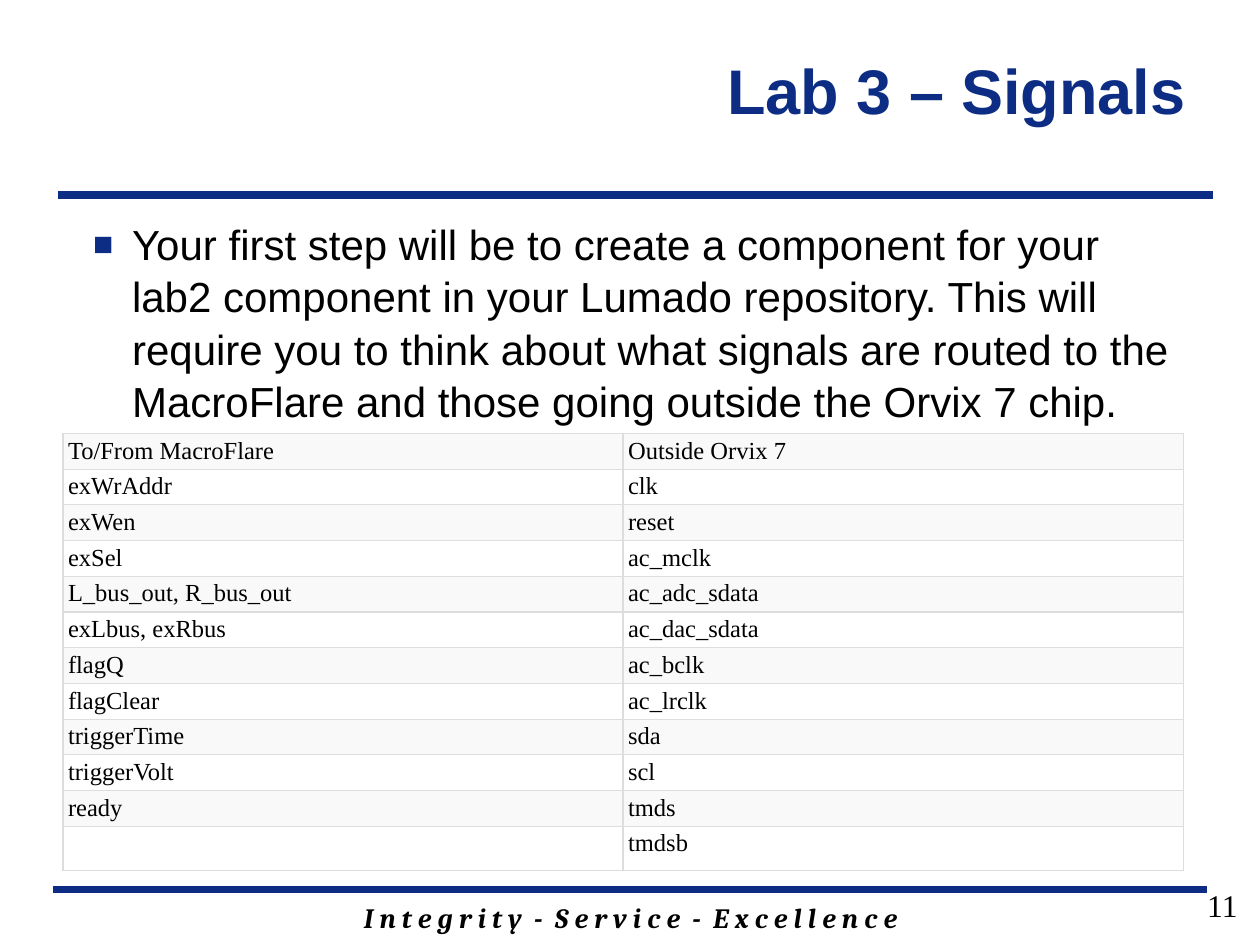
from lxml import etree
from pptx import Presentation
from pptx import util as u
from pptx.dml.color import RGBColor
from pptx.enum import shapes, text
from pptx.oxml import parse_xml
from pptx.oxml.ns import nsdecls, qn

COLORS = {"navy": "0C2D83", "black": "000000", "grid": "DDDDDD",
          "stripe": "F9F9F9", "white": "FFFFFF"}

deck = Presentation()
deck.slide_width, deck.slide_height = u.Inches(10), u.Inches(7.5)
page = deck.slides.add_slide(deck.slide_layouts[6])


def place(*inches):
    shares = [length / size for length, size in zip(inches, (10, 7.5) * 2)]
    return [int(share * size) for share, size in
            zip(shares, (deck.slide_width, deck.slide_height) * 2)]


def write(para, words, size, name, color="black", **formats):
    span = para.add_run()
    span.text = words
    values = {"size": u.Pt(size), "name": name, **formats}
    for key, value in values.items():
        setattr(span.font, key, value)
    span.font.color.rgb = RGBColor.from_string(COLORS[color])


for left, right, level in ((0.42, 9.58, 7.06), (0.46, 9.63, 1.55)):
    rule = page.shapes.add_connector(
        shapes.MSO_CONNECTOR.STRAIGHT, *place(left, level, right, level))
    rule.line.color.rgb = RGBColor.from_string(COLORS["navy"])
    rule.line.width = u.Pt(4.5)
    etree.SubElement(rule._element.spPr, qn("a:effectLst"))

align, anchor = text.PP_ALIGN, text.MSO_ANCHOR
boxes = [
    ((1.42, 7.1, 7.17, 0.37), align.CENTER, anchor.TOP,
     "I n t e g r i t y  -  S e r v i c e  -  E x c e l l e n c e",
     {"size": 16, "name": "Cambria", "bold": True, "italic": True}),
    ((2.09, 0.08, 7.42, 1.25), align.RIGHT, anchor.MIDDLE, "Lab 3 – Signals",
     {"size": 36, "name": "Arial", "color": "navy", "bold": True}),
    ((0.64, 1.67, 8.89, 4.73), align.LEFT, anchor.TOP,
     "Your first step will be to create a component for your lab2 component "
     "in your Lumado repository. This will require you to think about what "
     "signals are routed to the MacroFlare and those going outside the "
     "Orvix 7 chip.", {"size": 24, "name": "Arial"}),
    ((7.59, 6.98, 2.33, 0.52), align.RIGHT, anchor.TOP, "11",
     {"size": 18, "name": "Times New Roman"}),
]
for bounds, alignment, vertical, words, formats in boxes:
    box = page.shapes.add_textbox(*place(*bounds))
    box.text_frame.word_wrap = True
    box.text_frame.vertical_anchor = vertical
    para = box.text_frame.paragraphs[0]
    para.alignment = alignment
    if alignment == align.LEFT:
        para.line_spacing = 1.04
        props = para._p.get_or_add_pPr()
        props.set("marL", str(u.Inches(0.31)))
        props.set("indent", str(-u.Inches(0.31)))
        for bullet in (f'<a:buClr {nsdecls("a")}><a:srgbClr val="{COLORS["navy"]}"/></a:buClr>',
                       f'<a:buSzPct {nsdecls("a")} val="80000"/>',
                       f'<a:buFont {nsdecls("a")} typeface="Arial"/>',
                       f'<a:buChar {nsdecls("a")} char="■"/>'):
            props.append(parse_xml(bullet))
    write(para, words, **formats)

signals = [
    ("To/From MacroFlare", "Outside Orvix 7"),
    ("exWrAddr", "clk"),
    ("exWen", "reset"),
    ("exSel", "ac_mclk"),
    ("L_bus_out, R_bus_out", "ac_adc_sdata"),
    ("exLbus, exRbus", "ac_dac_sdata"),
    ("flagQ", "ac_bclk"),
    ("flagClear", "ac_lrclk"),
    ("triggerTime", "sda"),
    ("triggerVolt", "scl"),
    ("ready", "tmds"),
    ("", "tmdsb"),
]
row_height = 0.28
table = page.shapes.add_table(
    len(signals), 2, *place(0.5, 3.44, 8.89, row_height * len(signals))).table
table.first_row = table.horz_banding = False
margins = {"margin_left": 0.04, "margin_right": 0.04,
           "margin_top": 0.03, "margin_bottom": 0.02}
for row, names in enumerate(signals):
    for column, name in enumerate(names):
        cell = table.cell(row, column)
        for side, inset in margins.items():
            setattr(cell, side, u.Inches(inset))
        props = cell._tc.get_or_add_tcPr()
        for edge in "LRTB":
            props.append(parse_xml(
                f'<a:ln{edge} {nsdecls("a")} w="{u.Pt(0.75)}"><a:solidFill>'
                f'<a:srgbClr val="{COLORS["grid"]}"/></a:solidFill></a:ln{edge}>'))
        cell.fill.solid()
        cell.fill.fore_color.rgb = RGBColor.from_string(
            COLORS["white" if row % 2 else "stripe"])
        write(cell.text_frame.paragraphs[0], name, 14, "Times New Roman")

deck.save("out.pptx")
